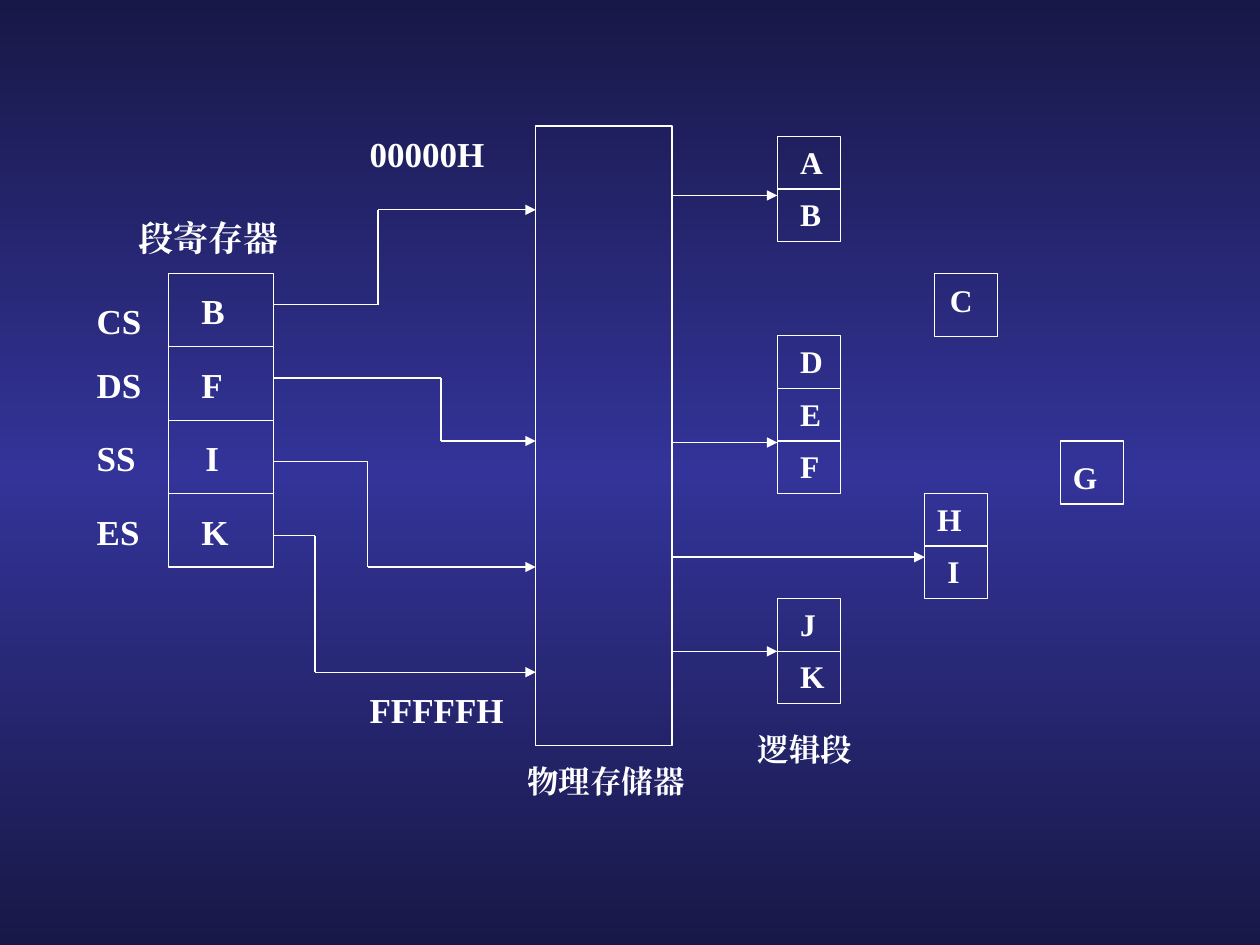
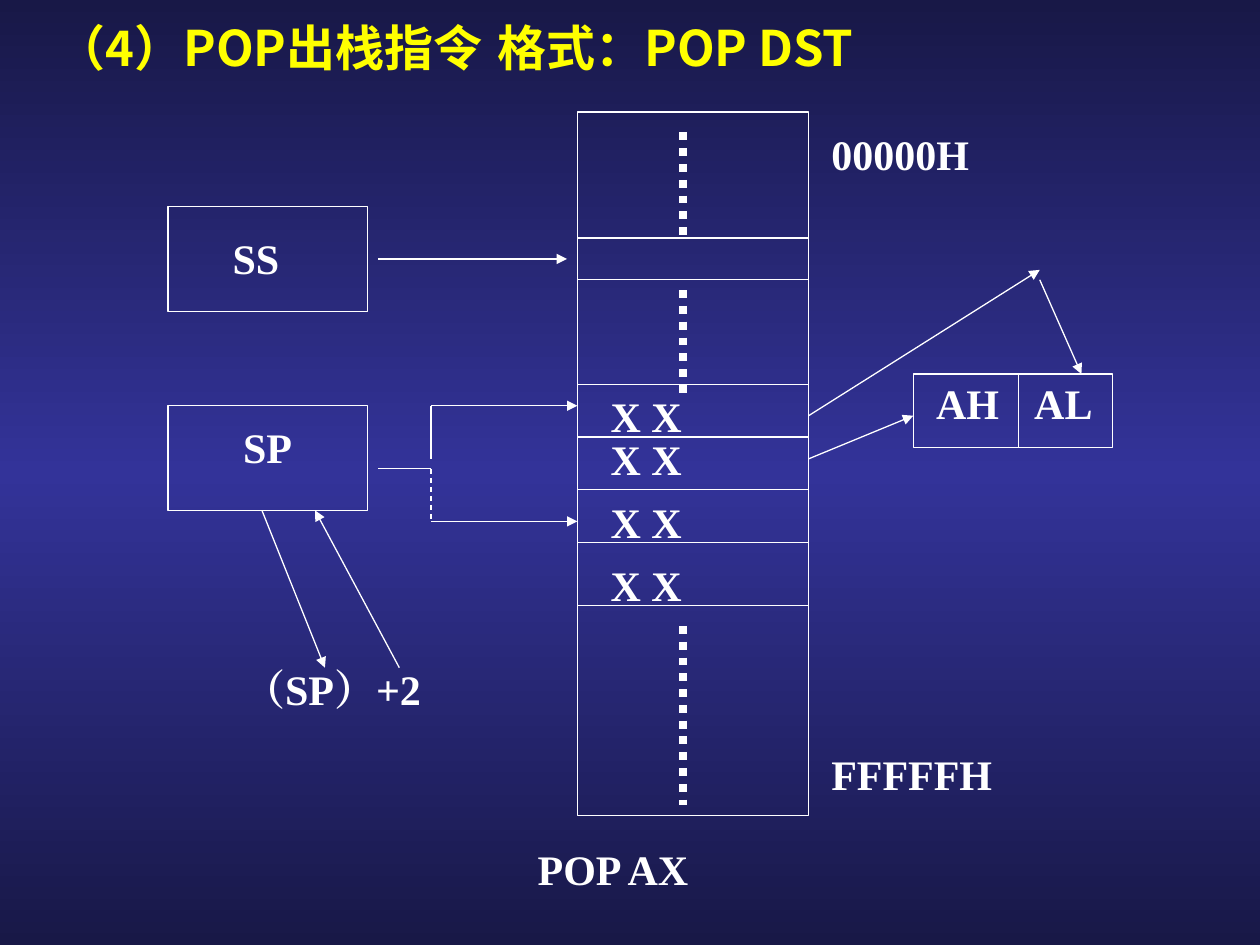
import copy

import pptx
import pptx.dml.color
import pptx.enum.dml
import pptx.enum.shapes
import pptx.enum.text
import pptx.oxml
import pptx.oxml.ns
import pptx.util

Cm = pptx.util.Cm
Pt = pptx.util.Pt
qn = pptx.oxml.ns.qn
DASH = pptx.enum.dml.MSO_LINE
WHITE, YELLOW = "FFFFFF", "FFFF00"
BG_EDGE, BG_MIDDLE = "181847", "333399"
SERIF, SANS = "Times New Roman", "Noto Sans CJK JP"


def rgb(value):
    return pptx.dml.color.RGBColor.from_string(value)


def set_background(master):
    fill = master.background.fill
    fill.gradient()
    fill.gradient_angle = 270
    gs_lst = master.element.find(".//" + qn("a:gsLst"))
    gs_lst.append(copy.deepcopy(gs_lst[-1]))
    colors = (BG_EDGE, BG_MIDDLE, BG_EDGE)
    for stop, position, color in zip(fill.gradient_stops, (0, 0.5, 1), colors):
        stop.position = position
        stop.color.rgb = rgb(color)


def write(tf, text, size=20, color=WHITE, font=SERIF, wrap=True):
    tf.word_wrap = wrap
    tf.vertical_anchor = pptx.enum.text.MSO_ANCHOR.TOP
    p = tf.paragraphs[0]
    p.alignment = pptx.enum.text.PP_ALIGN.LEFT
    p.space_before = Pt(0)
    r = p.add_run()
    r.text = text
    r.font.size = Pt(size)
    r.font.bold = True
    r.font.name = font
    r.font.color.rgb = rgb(color)
    ea = pptx.oxml.parse_xml(
        f'<a:ea {pptx.oxml.ns.nsdecls("a")} typeface="{font}"/>')
    r.font._element.find(qn("a:latin")).addnext(ea)
    return p


def label(slide, text, x, y, width, size=20, **style):
    height = round(size * 0.0535, 2)
    sp = slide.shapes.add_textbox(Cm(x), Cm(y), Cm(width), Cm(height))
    write(sp.text_frame, text, size=size, **style)
    sp.text_frame.auto_size = pptx.enum.text.MSO_AUTO_SIZE.SHAPE_TO_FIT_TEXT


def box(slide, x, y, width, height):
    sp = slide.shapes.add_shape(pptx.enum.shapes.MSO_SHAPE.RECTANGLE,
                                Cm(x), Cm(y), Cm(width), Cm(height))
    sp.shadow.inherit = False
    sp.fill.background()
    sp.line.color.rgb = rgb(WHITE)
    sp.line.width = Pt(0.75)
    return sp


def line(slide, x1, y1, x2, y2, arrow=False, width=0.75, dash=None):
    cxn = slide.shapes.add_connector(pptx.enum.shapes.MSO_CONNECTOR.STRAIGHT,
                                     Cm(x1), Cm(y1), Cm(x2), Cm(y2))
    cxn.line.color.rgb = rgb(WHITE)
    cxn.line.width = Pt(width)
    if dash:
        cxn.line.dash_style = dash
    ns = pptx.oxml.ns.nsdecls("a")
    if arrow:
        cxn.line._get_or_add_ln().append(
            pptx.oxml.parse_xml(f'<a:tailEnd {ns} type="triangle"/>'))
    cxn._element.spPr.append(pptx.oxml.parse_xml(f"<a:effectLst {ns}/>"))
    return cxn


def stacked_cells(slide, x, y, width, cell_height, count):
    """Draw a box cut into equal rows; a middle divider is joined to it."""
    sp = box(slide, x, y, width, cell_height * count)
    for row in range(1, count):
        row_y = y + row * cell_height
        divider = line(slide, x, row_y, x + width, row_y)
        if row * 2 == count:
            divider.begin_connect(sp, 1)
            divider.end_connect(sp, 3)
    return sp


def polyline(slide, *points):
    """Join the points with straight lines, the last one an arrow."""
    for i in range(1, len(points)):
        line(slide, *points[i - 1], *points[i], arrow=i == len(points) - 1)


def segment_slide(prs):
    slide = prs.slides.add_slide(prs.slide_layouts[6])
    memory_left, memory_right = 10.8, 13.55
    box(slide, memory_left, 2.54, memory_right - memory_left, 12.49)

    # Logical segments: left, top, letters with their indents
    segment_cell, indent = 1.06, 0.21
    segments = [
        (15.67, 2.75, [("A", indent), ("B", indent)]),
        (15.67, 6.77, [("D", indent), ("E", indent), ("F", indent)]),
        (18.64, 9.95, [("H", 0), ("I", indent)]),
        (15.67, 12.07, [("J", indent), ("K", indent)]),
    ]
    for x, y, letters in segments:
        last_segment = stacked_cells(slide, x, y, 1.27, segment_cell, len(letters))
        for row, (letter, dx) in enumerate(letters):
            label(slide, letter, x + dx, y + row * segment_cell, 0.84, size=18)
    for letter, x, y, dx, dy in [("C", 18.84, 5.51, 0.06, 0.03),
                                 ("G", 21.38, 8.89, 0, 0.21)]:
        box(slide, x, y, 1.27, 1.27)
        label(slide, letter, x + dx, y + dy, 0.84, size=18)
    for x, y in [(15.67, 3.94), (15.67, 8.92), (18.64, 11.23)]:
        line(slide, memory_right, y, x, y, arrow=True)
    to_last = line(slide, memory_right, 13.13, 15.67, 13.13, arrow=True)
    to_last.end_connect(last_segment, 1)

    # Segment registers: name, letter, name drop, letter indent
    registers = [("CS", "B", 0.2, 0), ("DS", "F", 0, 0),
                 ("SS", "I", 0, 0.08), ("ES", "K", 0, 0)]
    register_cell = 1.48
    stacked_cells(slide, 3.4, 5.51, 2.11, register_cell, len(registers))
    for row, (name, letter, drop, dx) in enumerate(registers):
        y = 5.72 + row * register_cell
        label(slide, name, 1.7, y + drop, 1.7)
        label(slide, letter, 3.81 + dx, y, 0.84)
    for start_y, bend_x, end_y in [(6.14, 7.62, 4.23), (7.62, 8.89, 8.89),
                                   (9.31, 7.41, 11.43), (10.8, 6.35, 13.55)]:
        polyline(slide, (5.51, start_y), (bend_x, start_y),
                 (bend_x, end_y), (memory_left, end_y))

    label(slide, "段寄存器", 2.54, 4.24, 3.38)
    label(slide, "00000H", 7.2, 2.54, 3.38)
    label(slide, "FFFFFH", 7.2, 13.76, 3.38)
    label(slide, "物理存储器", 10.38, 15.24, 4.01, size=18)
    label(slide, "逻辑段", 15.03, 14.6, 2.54, size=18)


def pop_slide(prs):
    slide = prs.slides.add_slide(prs.slide_layouts[5])
    title = slide.shapes.title
    title.left, title.top, title.width, title.height = (
        Cm(0.89), Cm(0.46), Cm(17.53), Cm(1.45))
    p = write(title.text_frame, "（4）POP出栈指令\t格式：POP DST",
              size=28, color=YELLOW, font=SANS)
    p.line_spacing = 0.8
    title.text_frame.auto_size = pptx.enum.text.MSO_AUTO_SIZE.NONE

    # Stack memory
    left, right = 11.64, 16.3
    box(slide, left, 2.26, right - left, 14.18)
    for y in (4.8, 5.64, 7.75, 8.81, 9.87, 10.93, 12.2):
        line(slide, left, y, right, y)
    for top, bottom in [(12.62, 16.23), (2.67, 4.8), (5.85, 7.97)]:
        line(slide, 13.76, top, 13.76, bottom, width=4.5, dash=DASH.ROUND_DOT)
    for y in (7.75, 8.61, 9.88, 11.15):
        label(slide, "X X", 12.06, y, 3.23, size=24)

    # Registers
    for y in (4.16, 8.18):
        box(slide, 3.39, y, 4.02, 2.12)
    box(slide, 18.41, 7.54, 4.02, 1.48)
    line(slide, 20.53, 7.54, 20.53, 9.02)
    label(slide, "AH", 18.62, 7.49, 1.9, size=24)
    label(slide, "AL", 20.6, 7.49, 1.7, size=24)

    # Stack pointer before and after
    bend_x, before_y, after_y, pointer_y = 8.69, 8.18, 10.51, 9.45
    line(slide, 7.62, pointer_y, bend_x, pointer_y)
    line(slide, bend_x, before_y, bend_x, 9.25)
    line(slide, bend_x, pointer_y, bend_x, after_y, dash=DASH.DASH)
    arrows = [
        (7.62, 5.22, 11.43, 5.22),
        (bend_x, before_y, left, before_y),
        (bend_x, after_y, left, after_y),
        (8.05, 13.46, 6.35, 10.29),
        (5.28, 10.29, 6.55, 13.46),
        (right, 8.38, 20.96, 5.44),
        (20.96, 5.64, 21.8, 7.54),
        (right, 9.25, 18.41, 8.38),
    ]
    for ends in arrows:
        line(slide, *ends, arrow=True)

    for text, x, y, width in [("00000H", 16.51, 2.46, 3.28),
                              ("FFFFFH", 16.51, 14.96, 3.76),
                              ("POP AX", 10.59, 16.87, 3.63),
                              ("SP", 4.65, 8.38, 1.5),
                              ("SS", 4.44, 4.57, 1.45)]:
        label(slide, text, x, y, width, size=24, wrap=False)
    label(slide, "（SP）+2", 4.65, 13.26, 4.45, size=24)


def main():
    prs = pptx.Presentation()
    prs.slide_width, prs.slide_height = Cm(25.4), Cm(19.05)
    set_background(prs.slide_master)
    segment_slide(prs)
    pop_slide(prs)
    prs.save("out.pptx")


if __name__ == "__main__":
    main()
